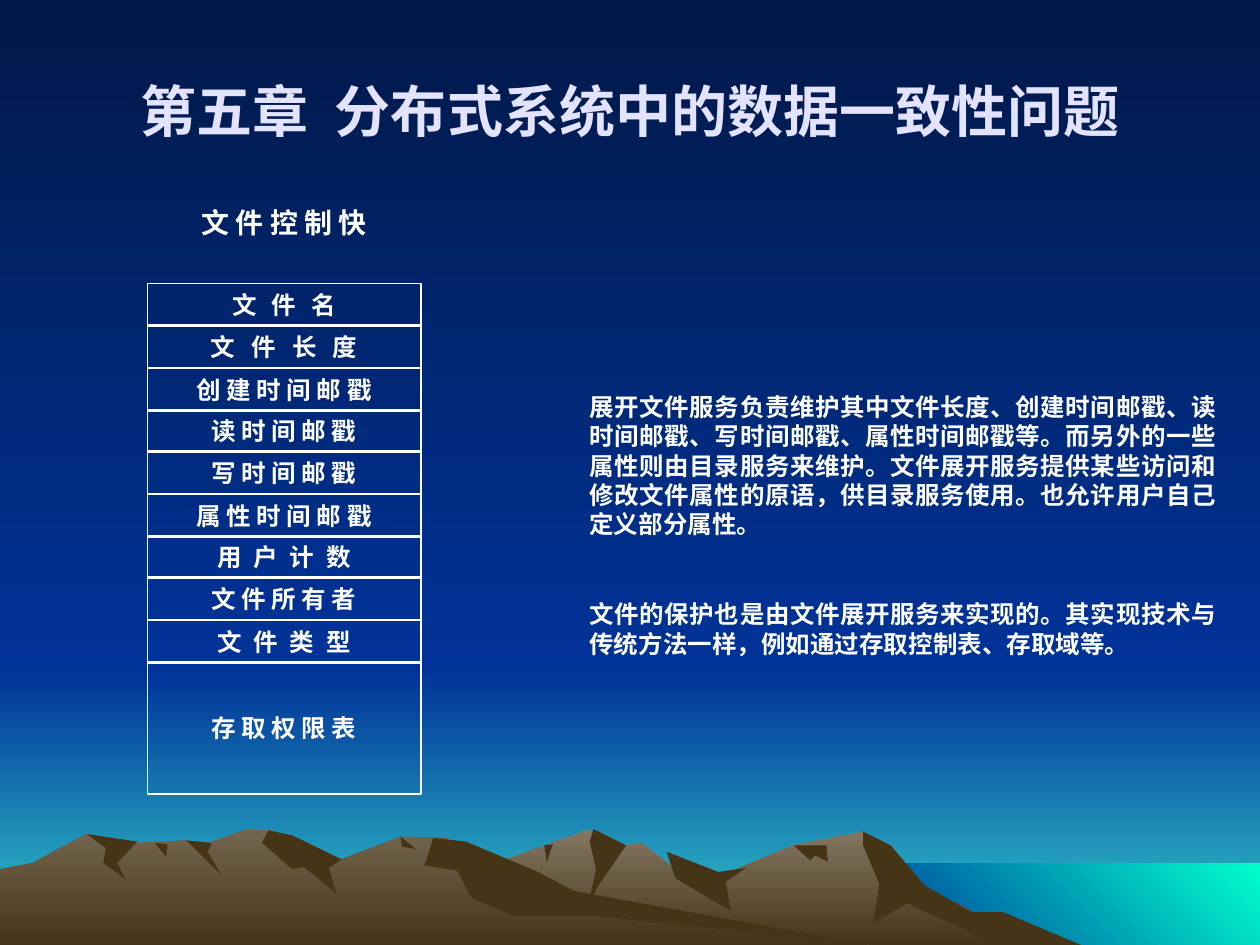
from pptx import Presentation
from pptx.dml.color import RGBColor
from pptx.enum.shapes import MSO_SHAPE as SHAPE
from pptx.enum.text import MSO_ANCHOR as ANCHOR, PP_ALIGN as ALIGN
from pptx.util import Pt

PX = 9144  # 100 px to the inch
W, H = 1000, 750
COLORS = {
    "night": "001847", "blue": "003399", "horizon": "33CCCC", "sea": "00FFCC",
    "slope": "847864", "ridge": "73654F", "earth": "463416",
    "title": "E3E3FF", "white": "FFFFFF",
}
rgb = {name: RGBColor.from_string(value) for name, value in COLORS.items()}


def paint(fill, *names, angle=270):
    """Fill with one colour, or with a gradient between two."""
    if len(names) == 1:
        fill.solid()
        fill.fore_color.rgb = rgb[names[0]]
        return
    fill.gradient()
    fill.gradient_angle = angle
    for stop, name in zip(fill.gradient_stops, names):
        stop.color.rgb = rgb[name]


def add_run(p, text, font, size, color="white", spacing=0):
    """Add a bold run; spacing is the extra gap after each letter in points."""
    r = p.add_run()
    r.text = text
    for key, value in {"name": font, "size": Pt(size), "bold": True}.items():
        setattr(r.font, key, value)
    r.font.color.rgb = rgb[color]
    if spacing:
        r.font._element.set("spc", str(int(spacing * 100)))


prs = Presentation()
prs.slide_width, prs.slide_height = W * PX, H * PX
s = prs.slides.add_slide(prs.slide_layouts[5])
paint(s.background.fill, "night", "blue")

# Sky, horizon and sea
shore, sea_left, sea_top = 533, 683, 685
bands = [
    (0, shore, ("blue", "horizon"), 270, H),
    (0, 0, ("night", "blue"), 270, shore),
    (sea_left, sea_top, ("blue", "sea"), 45, H),
]
for x, y, names, angle, bottom in bands:
    sp = s.shapes.add_shape(SHAPE.RECTANGLE, x * PX, y * PX, (W - x) * PX, (bottom - y) * PX)
    sp.shadow.inherit = False
    sp.line.fill.background()
    paint(sp.fill, *names, angle=angle)

# Mountains with their shaded faces, back to front
mountains = [
    (("slope", "earth"), [
        (258, H), (327, 709), (405, 681), (468, 658), (486, 673), (509, 669),
        (536, 690), (568, 697), (629, 671), (685, 660), (723, 698), (821, H)]),
    (("earth",), [
        (685, 660), (707, 671), (734, 703), (771, 724), (796, 724), (858, H),
        (792, H), (720, 717), (693, 733), (698, 702), (685, 671)]),
    (("earth",), [
        (471, 658), (497, 671), (474, 704), (465, 727), (473, 690), (468, 668)]),
    (("earth",), [
        (529, 676), (570, 692), (592, 689), (576, 700), (580, 723), (536, 697)]),
    (("earth",), [(630, 671), (656, 671), (657, 684), (647, 679), (643, 683)]),
    (("earth",), [(432, 671), (439, 670), (434, 684)]),
    (("ridge", "earth"), [
        (0, H), (0, 690), (26, 685), (68, 662), (111, 669), (148, 667),
        (160, 671), (196, 658), (215, 659), (271, 682), (318, 664), (354, 665),
        (432, 712), (690, H)]),
    (("earth",), [
        (213, 659), (232, 663), (271, 682), (261, 689), (267, 709), (241, 688),
        (232, 690), (208, 669)]),
    (("earth",), [
        (344, 665), (370, 668), (427, 692), (455, 707), (690, H), (472, 727),
        (407, 727), (374, 712), (363, 691), (337, 687)]),
    (("earth",), [(318, 664), (330, 674), (319, 672)]),
    (("earth",), [(148, 667), (168, 669), (165, 676), (176, 695)]),
    (("earth",), [(123, 669), (133, 670), (132, 680)]),
    (("earth",), [
        (69, 662), (109, 668), (93, 685), (100, 698), (82, 685), (84, 673)]),
]
for names, points in mountains:
    outline = s.shapes.build_freeform(*points[0], scale=PX)
    outline.add_line_segments(points[1:], close=True)
    sp = outline.convert_to_shape()
    sp.shadow.inherit = False
    sp.line.fill.background()
    paint(sp.fill, *names)

# Title, brought in front of the landscape
title = s.shapes.title
s.shapes._spTree.append(title._element)
title.left, title.top, title.width, title.height = 50 * PX, 25 * PX, 900 * PX, 125 * PX
tf = title.text_frame
tf.vertical_anchor = ANCHOR.MIDDLE
p = tf.paragraphs[0]
p.alignment = ALIGN.CENTER
for text, spacing in [("第五章", 0), (" ", 8), ("分布式系统中的数据一致性问题", 0)]:
    add_run(p, text, "Noto Sans CJK SC", 32, "title", spacing)

# File control block: field name and letter spacing
fields = [
    ("文 件 名", 2.6), ("文 件 长 度", 3), ("创 建 时 间 邮 戳", 0),
    ("读 时 间 邮 戳", 0), ("写 时 间 邮 戳", 0), ("属 性 时 间 邮 戳", 0),
    ("用 户 计 数", 1.8), ("文 件 所 有 者", 0), ("文 件 类 型", 1.8),
    ("存 取 权 限 表", 0),
]
for i, (text, spacing) in enumerate(fields):
    top = 225 + round(i * 100 / 3)
    height = 105 if i == len(fields) - 1 else 34
    sp = s.shapes.add_shape(SHAPE.RECTANGLE, 117 * PX, top * PX, 217 * PX, height * PX)
    sp.shadow.inherit = False
    sp.fill.background()
    sp.line.color.rgb = rgb["white"]
    sp.line.width = Pt(1)
    tf = sp.text_frame
    tf.vertical_anchor = ANCHOR.MIDDLE
    p = tf.paragraphs[0]
    p.alignment = ALIGN.CENTER
    add_run(p, text, "Arial", 14, spacing=spacing)

# Heading of the block and explanation
notes = [
    ((117, 158, 217, 37), ALIGN.CENTER, "Arial", 16, ["文 件 控 制 快"]),
    ((458, 306, 517, 221), ALIGN.JUSTIFY, "Noto Sans CJK SC", 14, [
        "展开文件服务负责维护其中文件长度、创建时间邮戳、读时间邮戳、写时间邮戳、"
        "属性时间邮戳等。而另外的一些属性则由目录服务来维护。文件展开服务提供某些"
        "访问和修改文件属性的原语，供目录服务使用。也允许用户自己定义部分属性。",
        "文件的保护也是由文件展开服务来实现的。其实现技术与传统方法一样，"
        "例如通过存取控制表、存取域等。"]),
]
for box, align, font, size, texts in notes:
    tf = s.shapes.add_textbox(*(v * PX for v in box)).text_frame
    tf.word_wrap = True
    for i, text in enumerate(texts):
        p = tf.add_paragraph() if i else tf.paragraphs[0]
        p.alignment = align
        if i:
            p.space_before = Pt(34.5)
        add_run(p, text, font, size)

prs.save("out.pptx")
